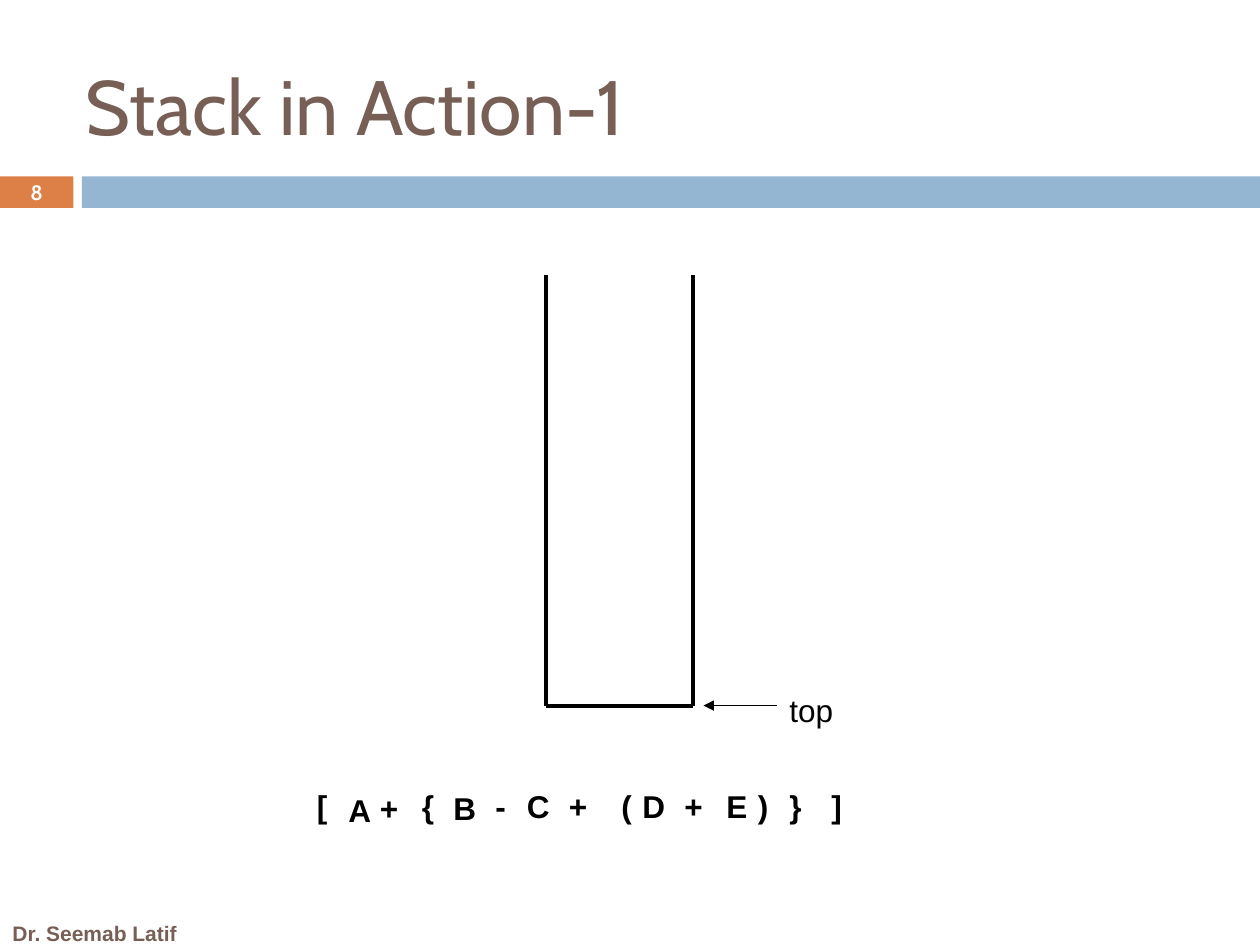
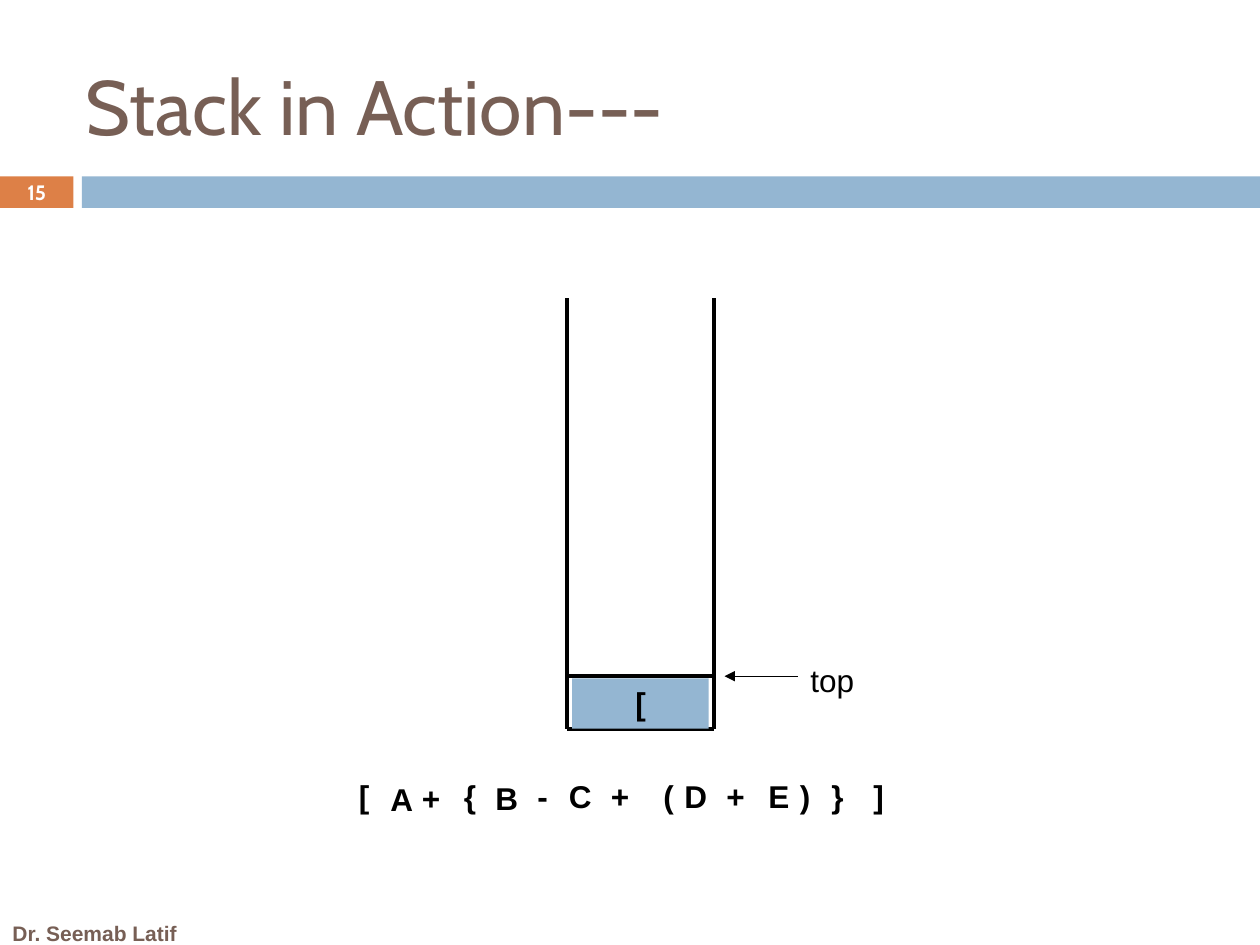
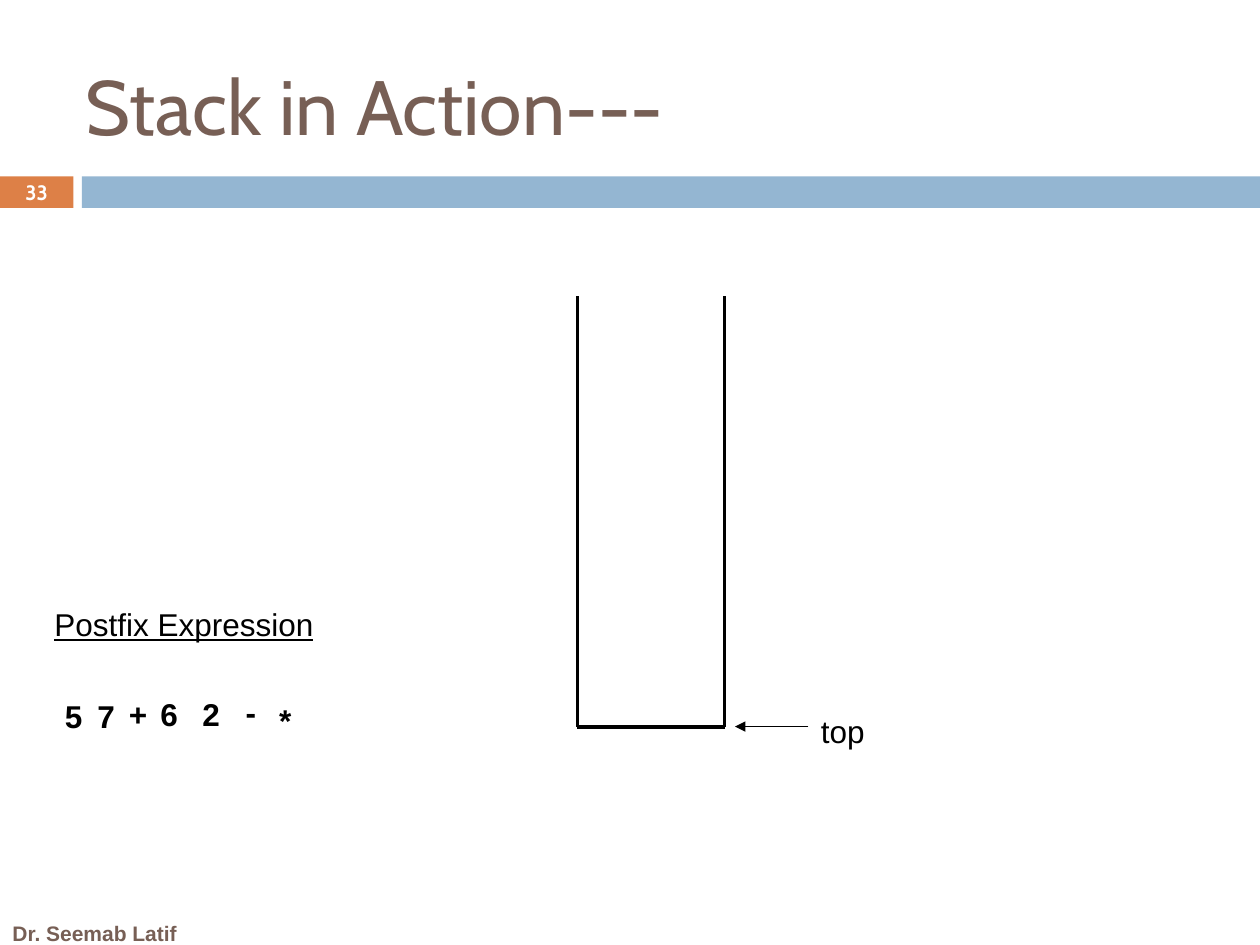
from itertools import zip_longest

from lxml.etree import SubElement
from pptx import Presentation
from pptx.dml.color import RGBColor
from pptx.enum.shapes import MSO_CONNECTOR, MSO_SHAPE
from pptx.enum.text import MSO_ANCHOR, MSO_AUTO_SIZE, PP_ALIGN
from pptx.oxml.ns import qn
from pptx.util import Inches, Pt

COLUMNS, ROWS = 120, 90
BLACK, WHITE, BROWN, ORANGE, BLUE = "000000", "FFFFFF", "775F55", "DD8047", "94B6D2"
SYMBOL_SIZES = [(4, 4.8), (5, 4.8), (4, 8.4), (4, 4.8), (5, 4.8), (4, 4.8)]
INFIX = [("[", 0, 0), ("A", 3, 0.3), ("+", 6, 0.2), ("{", 10, 0), ("B", 13, 0.2),
         ("-", 17, 0), ("C", 20, 0), ("+", 24, 0), ("(", 29, 0), ("D", 31, 0),
         ("+", 35, 0), ("E", 39, 0), (")", 42, 0), ("}", 45, 0), ("]", 49, 0)]
POSTFIX = [("5", 0, 0.4), ("7", 3.1, 0.4), ("+", 6.1, 0.2), ("6", 9.1, 0.2),
           ("2", 13.1, 0.2), ("-", 17.2, 0), ("*", 20.4, 0.8)]


def color(value):
    return RGBColor.from_string(value)


class StackDeck:
    """Draws stack diagrams on a grid of 120 columns and 90 rows."""

    def __init__(self):
        self.deck = Presentation()
        self.deck.slide_width, self.deck.slide_height = Inches(10), Inches(7.5)
        self.page = None

    def place(self, *lengths):
        units = (self.deck.slide_width / COLUMNS, self.deck.slide_height / ROWS)
        return [round(length * units[index % 2]) for index, length in enumerate(lengths)]

    def set_text(self, box, text, size=18, font="Arial", ink=BLACK, bold=False,
                 underline=None, align=PP_ALIGN.LEFT, anchor=MSO_ANCHOR.TOP, grow=True):
        frame = box.text_frame
        frame.text = text
        frame.word_wrap = True
        frame.vertical_anchor = anchor
        frame.auto_size = MSO_AUTO_SIZE.SHAPE_TO_FIT_TEXT if grow else MSO_AUTO_SIZE.NONE
        para = frame.paragraphs[0]
        para.alignment = align
        span = para.runs[0].font
        span.name, span.size, span.bold, span.underline = font, Pt(size), bold, underline
        span.color.rgb = color(ink)

    def label(self, text, column, row, width, height, **style):
        box = self.page.shapes.add_textbox(*self.place(column, row, width, height))
        self.set_text(box, text, **style)

    def block(self, fill, column, row, width, height):
        box = self.page.shapes.add_shape(
            MSO_SHAPE.RECTANGLE, *self.place(column, row, width, height))
        box.shadow.inherit = False
        box.fill.solid()
        box.fill.fore_color.rgb = color(fill)
        box.line.fill.background()
        return box

    def line(self, start, end, weight=2.25, arrow=False):
        connector = self.page.shapes.add_connector(
            MSO_CONNECTOR.STRAIGHT, *self.place(*start, *end))
        connector.line.width = Pt(weight)
        connector.line.color.rgb = color(BLACK)
        properties = connector._element.spPr
        if arrow:
            SubElement(properties.find(qn("a:ln")), qn("a:tailEnd"), type="triangle")
        SubElement(properties, qn("a:effectLst"))

    def new_page(self, title, number):
        self.page = self.deck.slides.add_slide(self.deck.slide_layouts[6])
        self.block(ORANGE, 0, 16.8, 7, 3)
        self.block(BLUE, 7.8, 16.8, 112.2, 3)
        self.label("Dr. Seemab Latif", 0, 87, 22, 3.8, size=12, ink=BROWN, bold=True,
                   anchor=MSO_ANCHOR.MIDDLE, grow=False)
        self.label(title, 7, 5, 79, 10, size=44, font="Cabin", ink=BROWN)
        self.label(number, 0, 16.7, 7, 3.2, size=11.9, font="Cabin", ink=WHITE, bold=True,
                   align=PP_ALIGN.CENTER, anchor=MSO_ANCHOR.MIDDLE, grow=False)

    def stack(self, left, bottom, items=()):
        right, rim = left + 14, bottom - 41
        for side in (left, right):
            self.line((side, rim), (side, bottom))
        self.line((left, bottom), (right, bottom))
        top = bottom
        for item in items:
            top -= 5
            self.line((left, top), (right, top))
            box = self.block(BLUE, left + 0.5, top + 0.2, 13, 4.8)
            self.set_text(box, item, bold=True, align=PP_ALIGN.CENTER)
        self.label("top", right + 8, top - 2, 18, 4.8)
        self.line((right + 8, top), (right + 1, top), weight=0.75, arrow=True)

    def expression(self, symbols, column, row):
        sizes = SYMBOL_SIZES[:len(symbols)]
        for (symbol, shift, dip), size in zip_longest(symbols, sizes, fillvalue=(5, 4.8)):
            self.label(symbol, column + shift, row + dip, *size, bold=True)


def main():
    show = StackDeck()

    show.new_page("Stack in Action-1", "8")
    show.stack(52, 67.2)
    show.expression(INFIX, 29, 74.4)

    show.new_page("Stack in Action---", "15")
    show.stack(54, 69.4, ["["])
    show.expression(INFIX, 33, 73.4)

    show.new_page("Stack in Action---", "33")
    show.stack(55, 69.2)
    show.label("Postfix Expression", 4, 57, 33, 4.8, underline=True)
    show.expression(POSTFIX, 5, 65.4)

    show.deck.save("out.pptx")


if __name__ == "__main__":
    main()
